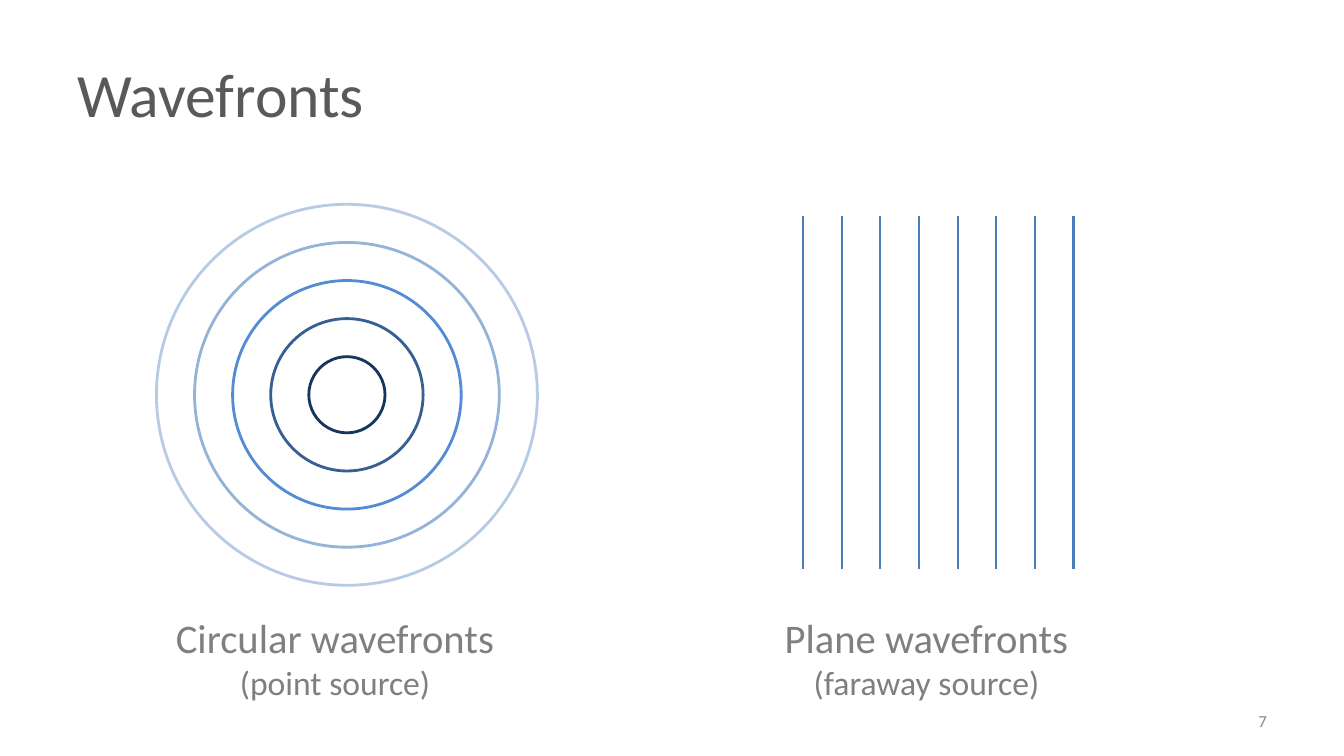
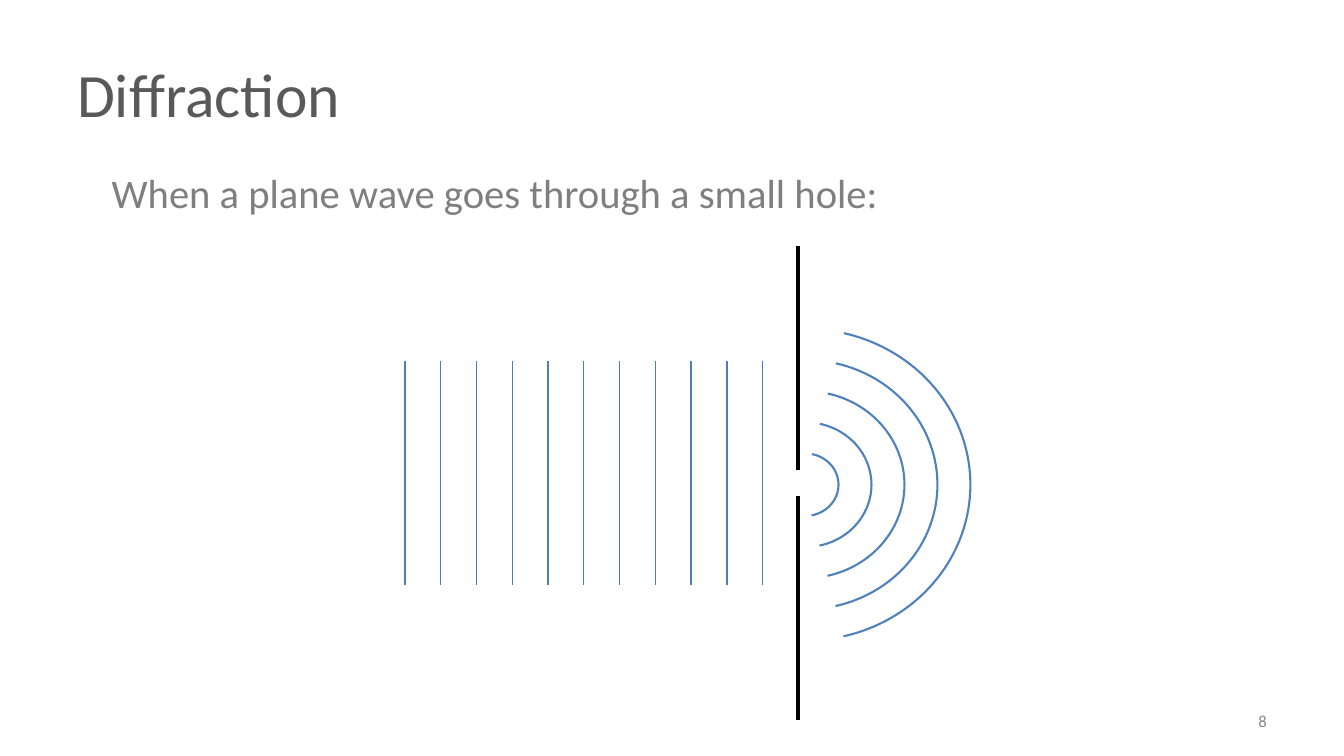
from lxml.etree import SubElement
from pptx import Presentation
from pptx.dml.color import RGBColor
from pptx.enum.shapes import MSO_CONNECTOR, MSO_SHAPE
from pptx.enum.text import MSO_ANCHOR, PP_ALIGN
from pptx.oxml.ns import qn
from pptx.util import Inches, Pt

WHITE = RGBColor(0xFF, 0xFF, 0xFF)
BLACK = RGBColor(0x00, 0x00, 0x00)
TITLE_GREY = RGBColor(0x59, 0x59, 0x59)
BODY_GREY = RGBColor(0x7F, 0x7F, 0x7F)
NUMBER_GREY = RGBColor(0x88, 0x88, 0x88)
PLANE_BLUE = RGBColor(0x4A, 0x7D, 0xBA)
ARC_BLUE = RGBColor(0x4F, 0x81, 0xBD)
CIRCLE_BLUES = [
    RGBColor(0x17, 0x36, 0x5D),
    RGBColor(0x36, 0x60, 0x92),
    RGBColor(0x53, 0x8C, 0xD5),
    RGBColor(0x93, 0xB3, 0xD7),
    RGBColor(0xB7, 0xCC, 0xE4),
]
FONT = "Calibri"

deck = Presentation()
deck.slide_width = Inches(13.33)
deck.slide_height = Inches(7.5)
COL = deck.slide_width / 160
ROW = deck.slide_height / 90


def add_figure(slide, preset, left, top, width, height, fill=None, line=None, weight=0):
    figure = slide.shapes.add_shape(
        preset, int(left * COL), int(top * ROW), int(width * COL), int(height * ROW))
    figure.shadow.inherit = False
    if fill is None:
        figure.fill.background()
    else:
        figure.fill.solid()
        figure.fill.fore_color.rgb = fill
    if line is None:
        figure.line.fill.background()
    else:
        figure.line.color.rgb = line
        figure.line.width = Pt(weight)
    return figure


def add_upright(slide, column, top, bottom, color, weight):
    x = int(column * COL)
    upright = slide.shapes.add_connector(
        MSO_CONNECTOR.STRAIGHT, x, int(top * ROW), x, int(bottom * ROW))
    upright.line.color.rgb = color
    upright.line.width = Pt(weight)
    SubElement(upright.element.spPr, qn("a:effectLst"))


blank = deck.slide_layouts[6]
wavefronts = deck.slides.add_slide(blank)
diffraction = deck.slides.add_slide(blank)

for ring, blue in reversed(list(enumerate(CIRCLE_BLUES, start=1))):
    diameter = 9.07 * ring
    add_figure(wavefronts, MSO_SHAPE.OVAL, 41.3 - diameter / 2, 47 - diameter / 2,
               diameter, diameter, line=blue, weight=2)

for front in range(8):
    add_upright(wavefronts, 95.6 + 4.6 * front, 25.7, 67.7, PLANE_BLUE, 1.5)

for ring in range(5, 0, -1):
    width, height = 7.85 * ring, 7.42 * ring
    add_figure(diffraction, MSO_SHAPE.OVAL, 95.9 - width / 2, 57.7 - height / 2,
               width, height, line=ARC_BLUE, weight=1.5)

add_figure(diffraction, MSO_SHAPE.RECTANGLE, 65.2, 37.3, 31.3, 40.4, fill=WHITE)

for front in range(11):
    add_upright(diffraction, 48.2 + 4.26 * front, 43, 69.7, PLANE_BLUE, 1)

for barrier_top in (29.3, 59):
    add_upright(diffraction, 95, barrier_top, barrier_top + 26.7, BLACK, 3)

for mask_top, apex, turn in ((59.4, 0, 0), (32.6, 1, 180)):
    mask = add_figure(diffraction, MSO_SHAPE.ISOSCELES_TRIANGLE,
                      96.1, mask_top, 6.2, 23.5, fill=WHITE)
    mask.adjustments[0] = apex
    mask.rotation = turn

TITLE_STYLE = (8, 3.6, 144, 15), MSO_ANCHOR.MIDDLE, PP_ALIGN.LEFT, TITLE_GREY
NUMBER_STYLE = (114.7, 83.4, 37.3, 4.8), MSO_ANCHOR.MIDDLE, PP_ALIGN.RIGHT, NUMBER_GREY
LEFT_CAPTION = (18.2, 72.4, 43.4, 11.9), MSO_ANCHOR.TOP, PP_ALIGN.CENTER, BODY_GREY
RIGHT_CAPTION = (88.6, 72.4, 43.4, 11.9), MSO_ANCHOR.TOP, PP_ALIGN.CENTER, BODY_GREY
LEAD_STYLE = (12.1, 19.4, 99.1, 7.1), MSO_ANCHOR.TOP, PP_ALIGN.LEFT, BODY_GREY

wording = [
    (wavefronts, TITLE_STYLE, [("Wavefronts", 44)]),
    (wavefronts, LEFT_CAPTION, [("Circular wavefronts", 29), ("(point source)", 24)]),
    (wavefronts, RIGHT_CAPTION, [("Plane wavefronts", 29), ("(faraway source)", 24)]),
    (wavefronts, NUMBER_STYLE, [("7", 12)]),
    (diffraction, TITLE_STYLE, [("Diffraction", 44)]),
    (diffraction, LEAD_STYLE, [("When a plane wave goes through a small hole:", 29)]),
    (diffraction, NUMBER_STYLE, [("8", 12)]),
]

for slide, (place, anchor, alignment, color), lines in wording:
    left, top, width, height = place
    frame = slide.shapes.add_textbox(
        int(left * COL), int(top * ROW), int(width * COL), int(height * ROW)).text_frame
    frame.word_wrap = True
    frame.vertical_anchor = anchor
    for index, (words, size) in enumerate(lines):
        paragraph = frame.add_paragraph() if index else frame.paragraphs[0]
        paragraph.alignment = alignment
        run = paragraph.add_run()
        run.text = words
        run.font.name = FONT
        run.font.size = Pt(size)
        run.font.color.rgb = color

deck.save("out.pptx")
